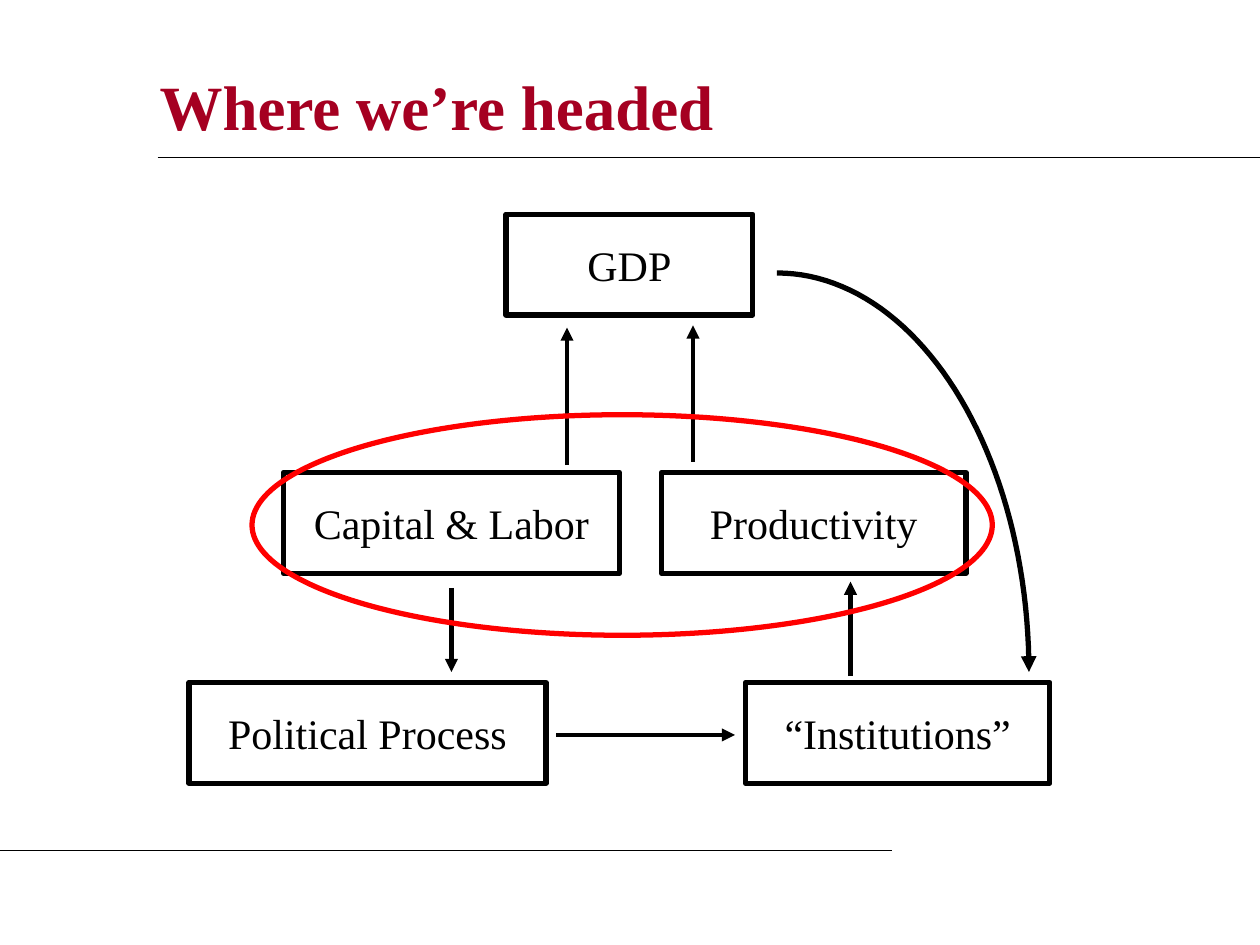
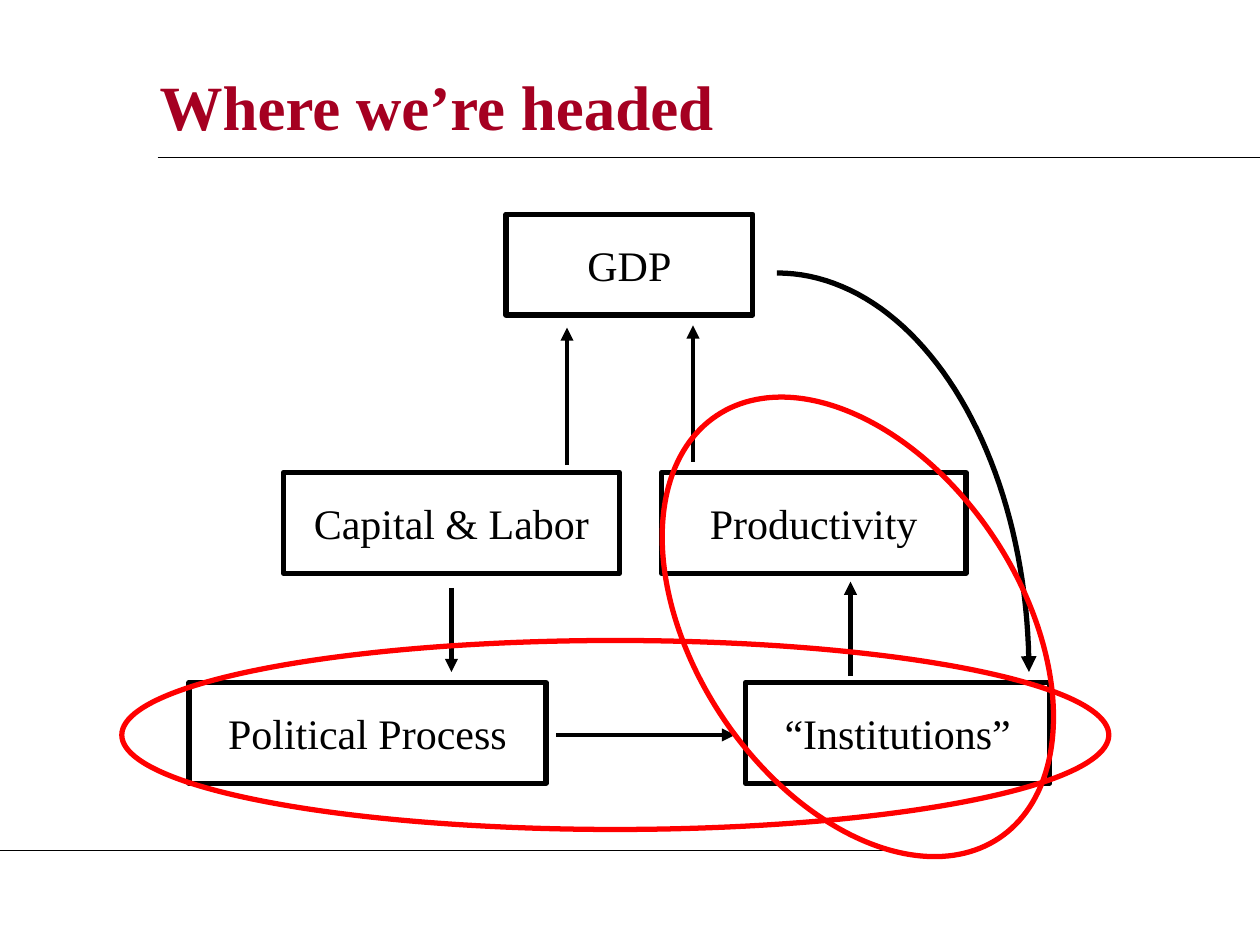
"""Build two slides that ring parts of one growth diagram."""
import math
from lxml import etree
from pptx import Presentation, util as u
from pptx.dml.color import RGBColor
from pptx.enum import shapes, text
from pptx.oxml.ns import qn

TITLE = "Where we’re headed"
BOXES = [
    ("Capital & Labor", 27, 45, 32),
    ("Productivity", 63, 45, 29),
    ("GDP", 48.2, 20.4, 23.5),
    ("“Institutions”", 71, 65, 29),
    ("Political Process", 18, 65, 34),
]
ARROWS = [
    (54, 44.3, 54, 31.2),
    (66, 44, 66, 31),
    (81, 64.4, 81, 55.4),
    (53, 70, 70, 70),
    (43, 56, 43, 64),
]
RULES = [(15, 15, 120, 15), (0, 81, 85, 81)]
FEEDBACK_CURVE = (74, 26, 24, 38)
RINGS_BY_PAGE = [
    [(24, 39.5, 70.5, 21, 0)],
    [(57.5, 44.2, 48.4, 31, 56.2), (11.6, 61, 94, 18, 0)],
]

UNITS_PER_INCH = 12
BOX_HEIGHT = 9.6
CURVE_STEPS = 48
BLACK, RED, CRIMSON = "000000", "FF0000", "A50021"
FONT = "Times New Roman"
TITLE_FONT = {"name": FONT, "size": u.Pt(36), "bold": True}
LABEL_FONT = {"name": FONT, "size": u.Pt(24), "bold": False}
TITLE_FRAME = {"word_wrap": True, "auto_size": text.MSO_AUTO_SIZE.NONE,
               "vertical_anchor": text.MSO_ANCHOR.MIDDLE}
LABEL_FRAME = TITLE_FRAME | dict.fromkeys(
    ("margin_left", "margin_top", "margin_right", "margin_bottom"), u.Inches(0.2))


def grid(*lengths):
    return [u.Inches(length / UNITS_PER_INCH) for length in lengths]


def apply(target, values):
    for name, value in values.items():
        setattr(target, name, value)


def write(box, words, frame_format, font_format, hex_color, align):
    apply(box.text_frame, frame_format)
    para = box.text_frame.paragraphs[0]
    para.alignment = align
    span = para.add_run()
    span.text = words
    apply(span.font, font_format)
    span.font.color.rgb = RGBColor.from_string(hex_color)


def set_line(item, hex_color, width, arrow=False):
    item.line.color.rgb = RGBColor.from_string(hex_color)
    item.line.width = u.Pt(width)
    if arrow:
        etree.SubElement(item.line._get_or_add_ln(), qn("a:tailEnd"), type="triangle")


def add_outline(page, preset, place, hex_color):
    outline = page.shapes.add_shape(preset, *grid(*place))
    outline.shadow.inherit = False
    outline.fill.background()
    set_line(outline, hex_color, 3)
    return outline


def add_straight(page, ends, width, arrow=False):
    line = page.shapes.add_connector(shapes.MSO_CONNECTOR.STRAIGHT, *grid(*ends))
    set_line(line, BLACK, width, arrow)
    etree.SubElement(line._element.spPr, qn("a:effectLst"))


def add_feedback_curve(page):
    left, top, width, height = grid(*FEEDBACK_CURVE)
    angles = [math.pi / 2 * step / CURVE_STEPS for step in range(CURVE_STEPS + 1)]
    points = [(left + width * math.sin(angle), top + height * (1 - math.cos(angle)))
              for angle in angles]
    builder = page.shapes.build_freeform(*points[0])
    builder.add_line_segments(points[1:], close=False)
    curve = builder.convert_to_shape()
    curve.shadow.inherit = False
    curve.fill.background()
    set_line(curve, BLACK, 3, arrow=True)


def add_page(deck, rings):
    page = deck.slides.add_slide(deck.slide_layouts.get_by_name("Title Only"))
    title = page.shapes.title
    apply(title, dict(zip(("left", "top", "width", "height"), grid(14, 5, 97, 10))))
    write(title, TITLE, TITLE_FRAME, TITLE_FONT, CRIMSON, text.PP_ALIGN.LEFT)
    for rule in RULES:
        add_straight(page, rule, 0.75)
    for label, left, top, width in BOXES:
        place = (left, top, width, BOX_HEIGHT)
        box = add_outline(page, shapes.MSO_SHAPE.RECTANGLE, place, BLACK)
        write(box, label, LABEL_FRAME, LABEL_FONT, BLACK, text.PP_ALIGN.CENTER)
    for arrow in ARROWS:
        add_straight(page, arrow, 2.5, arrow=True)
    add_feedback_curve(page)
    for *place, turn in rings:
        add_outline(page, shapes.MSO_SHAPE.OVAL, place, RED).rotation = turn


def main():
    deck = Presentation()
    deck.slide_width, deck.slide_height = u.Inches(10), u.Inches(7.5)
    for rings in RINGS_BY_PAGE:
        add_page(deck, rings)
    deck.save("out.pptx")


if __name__ == "__main__":
    main()
